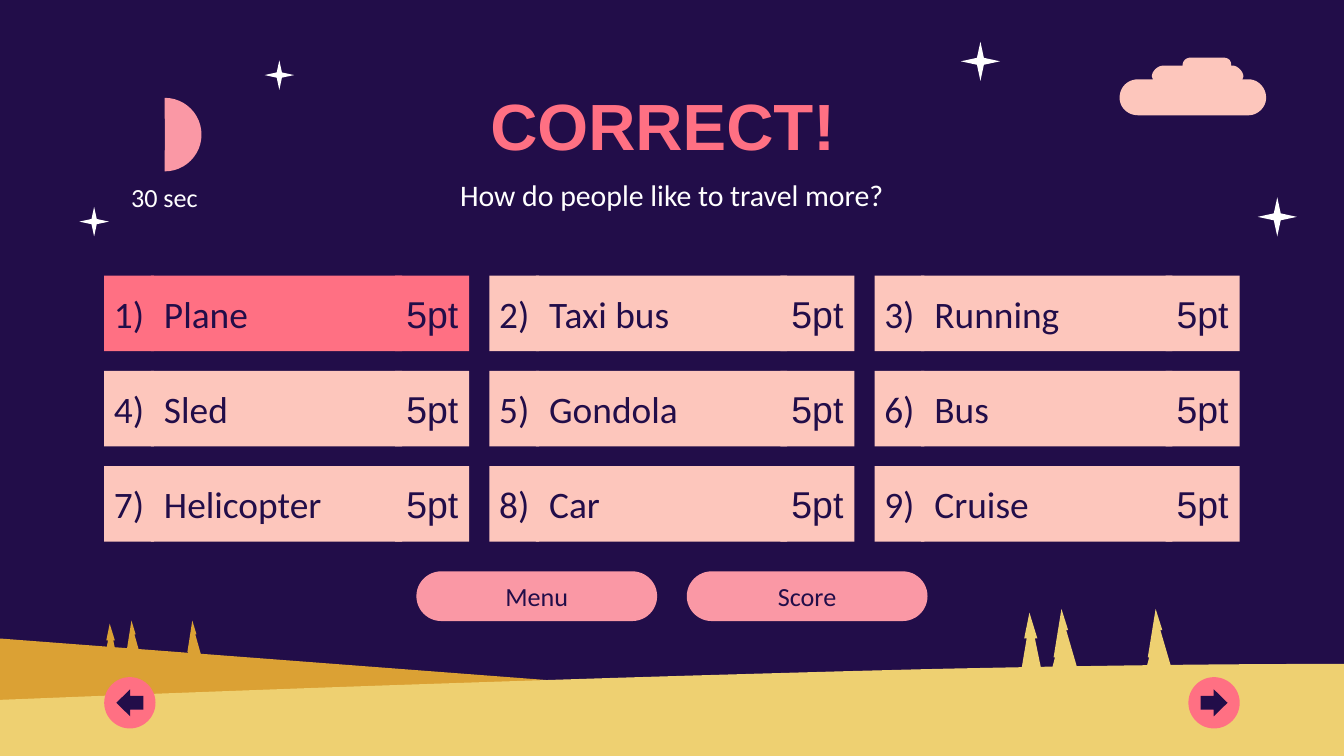
from typing import NamedTuple

from pptx import Presentation, util as u
from pptx.dml import color
from pptx.enum import shapes, text

NIGHT, WHITE = "220D49", "FFFFFF"
CORAL, ROSE, PEACH = "FF7083", "FA98A5", "FDC6BC"
SAND, DARK_SAND = "EED071", "DBA134"
KIND = shapes.MSO_SHAPE
CENTER, LEFT = text.PP_ALIGN.CENTER, text.PP_ALIGN.LEFT

Point = tuple[float, float]


class Box(NamedTuple):
    """Left, top, width and height in centimetres."""
    left: float
    top: float
    width: float
    height: float


class Style(NamedTuple):
    size: float
    font: str = "Calibri"
    color: str = NIGHT
    align: text.PP_ALIGN = CENTER
    side: float = 0.25
    bold: bool = False


class Tree(NamedTuple):
    outline: list[Point]
    box: Box
    color: str


class Curve(NamedTuple):
    """Two control points and the end of a cubic curve."""
    first: Point
    second: Point
    end: Point


def paint(fill, value: str) -> None:
    fill.solid()
    fill.fore_color.rgb = color.RGBColor.from_string(value)


def write(shape, words: str, style: Style) -> None:
    frame = shape.text_frame
    frame.word_wrap = True
    frame.auto_size = text.MSO_AUTO_SIZE.NONE
    frame.vertical_anchor = text.MSO_ANCHOR.MIDDLE
    frame.margin_left = frame.margin_right = u.Cm(style.side)
    frame.margin_top = frame.margin_bottom = u.Cm(0.25)
    frame.text = words
    para = frame.paragraphs[0]
    para.alignment = style.align
    para.line_spacing = 1.0
    for span in para.runs:
        span.font.name, span.font.size = style.font, u.Pt(style.size)
        span.font.bold = style.bold
        span.font.color.rgb = color.RGBColor.from_string(style.color)


def finish(shape, value: str) -> None:
    shape.shadow.inherit = False
    paint(shape.fill, value)
    shape.line.fill.background()


def add_shape(page, kind, box: Box, value: str, adjust: tuple = ()):
    shape = page.shapes.add_shape(kind, *map(u.Cm, box))
    finish(shape, value)
    for index, amount in enumerate(adjust):
        shape.adjustments[index] = amount
    return shape


def add_label(page, words: str, box: Box, style: Style) -> None:
    write(page.shapes.add_textbox(*map(u.Cm, box)), words, style)


def curve_points(start: Point, curve: Curve, steps: int = 12) -> list[Point]:
    corners = (start, *curve)
    points = []
    for step in range(1, steps + 1):
        t = step / steps
        weights = ((1 - t) ** 3, 3 * t * (1 - t) ** 2, 3 * t * t * (1 - t), t ** 3)
        points.append(tuple(sum(w * c[axis] for w, c in zip(weights, corners))
                            for axis in (0, 1)))
    return points


def add_outline(page, parts: list, value: str) -> None:
    points = [parts[0]]
    for part in parts[1:]:
        points += curve_points(points[-1], part) if isinstance(part, Curve) else [part]
    emu = [(u.Cm(x), u.Cm(y)) for x, y in points]
    builder = page.shapes.build_freeform(*emu[0])
    builder.add_line_segments(emu[1:], close=True)
    finish(builder.convert_to_shape(), value)


def add_tree(page, tree: Tree) -> None:
    box = tree.box
    add_outline(page, [(box.left + x * box.width, box.top + y * box.height)
                       for x, y in tree.outline], tree.color)


CLOUD = [
    (23.11, 1.09), Curve((23.22, 1.09), (23.27, 1.14), (23.27, 1.24)),
    (23.29, 1.24), Curve((23.39, 1.24), (23.5, 1.35), (23.5, 1.45)),
    (23.48, 1.5), (23.6, 1.5),
    Curve((23.77, 1.5), (23.93, 1.65), (23.93, 1.85)),
    Curve((23.93, 2.03), (23.77, 2.18), (23.6, 2.18)),
    (21.51, 2.18), Curve((21.31, 2.18), (21.16, 2.03), (21.16, 1.85)),
    Curve((21.16, 1.65), (21.31, 1.5), (21.51, 1.5)),
    (21.79, 1.5), (21.77, 1.45),
    Curve((21.77, 1.35), (21.87, 1.24), (22, 1.24)),
    (22.35, 1.24), Curve((22.35, 1.14), (22.43, 1.09), (22.5, 1.09)),
]
BACK_DUNE = [(0, 12.07), (25.4, 14), (25.4, 14.45), (0, 14.45)]
FRONT_DUNE = [
    (25.4, 12.55), Curve((22.43, 12.55), (19.81, 12.6), (17.45, 12.65)),
    Curve((11.56, 12.8), (5.72, 13), (0, 13.23)), (0, 14.45), (25.4, 14.45),
]
WIDE = [(0.38, 0), (0.1, 0.75), (0.15, 0.75), (0, 1), (1, 1), (0.55, 0.33), (0.62, 0.33)]
SLIM = [(0.41, 0), (0.18, 0.4), (0.29, 0.4), (0, 1), (1, 1), (0.65, 0.4), (0.76, 0.4)]
TREES = [
    Tree(WIDE, Box(19.86, 11.51, 0.53, 1.22), SAND),
    Tree(WIDE, Box(21.64, 11.51, 0.53, 1.22), SAND),
    Tree(SLIM, Box(19.28, 11.58, 0.43, 1.22), SAND),
    Tree(WIDE, Box(2.36, 11.73, 0.33, 0.79), DARK_SAND),
    Tree(WIDE, Box(3.51, 11.73, 0.33, 0.79), DARK_SAND),
    Tree(SLIM, Box(1.96, 11.79, 0.28, 0.79), DARK_SAND),
]
STARS = [Box(23.77, 3.73, 0.74, 0.74), Box(18.16, 0.79, 0.74, 0.74),
         Box(1.5, 3.91, 0.56, 0.56), Box(5, 1.14, 0.56, 0.56)]
ANSWERS = ["Plane", "Taxi bus", "Running", "Sled", "Gondola", "Bus",
           "Helicopter", "Car", "Cruise"]
CORRECT = "Plane"


def add_scenery(page) -> None:
    add_outline(page, CLOUD, PEACH)
    for star in STARS:
        add_shape(page, KIND.STAR_4_POINT, star, WHITE, (0.125,))
    add_outline(page, BACK_DUNE, DARK_SAND)
    add_outline(page, FRONT_DUNE, SAND)
    for tree in TREES:
        add_tree(page, tree)


def add_answer(page, index: int, answer: str) -> None:
    row, column = divmod(index, 3)
    left, top, height = 1.97 + 7.28 * column, 5.21 + 1.8 * row, 1.43
    value = CORAL if answer == CORRECT else PEACH
    cells = [
        (answer, 0.88, 4.75, Style(20, align=LEFT)),
        (f"{index + 1})", 0, 0.94, Style(20, side=0)),
        ("5pt", 5.5, 1.4, Style(20, "Arial", side=0)),
    ]
    for words, offset, width, style in cells:
        cell = add_shape(page, KIND.RECTANGLE, Box(left + offset, top, width, height), value)
        write(cell, words, style)


def add_arrow_button(page, left: float, arrow) -> None:
    add_shape(page, KIND.OVAL, Box(left, 12.8, 0.97, 0.97), CORAL)
    add_shape(page, arrow, Box(left + 0.23, 13.03, 0.51, 0.51), NIGHT, (0.51, 0.51))


def main() -> None:
    deck = Presentation()
    deck.slide_width, deck.slide_height = u.Cm(25.4), u.Cm(14.29)
    page = deck.slides.add_slide(deck.slide_layouts[5])
    paint(page.background.fill, NIGHT)
    add_scenery(page)

    # Title and question
    title = page.shapes.title
    title.left, title.top, title.width, title.height = map(u.Cm, (6.02, 1.5, 13.36, 1.7))
    write(title, "CORRECT! ", Style(35, "Arial", CORAL, bold=True))
    add_label(page, "How do people like to travel more?",
              Box(6.02, 3.2, 13.36, 0.94), Style(16, color=WHITE))

    # Answer grid
    for index, answer in enumerate(ANSWERS):
        add_answer(page, index, answer)

    # Menu buttons
    for words, left in (("Menu", 7.87), ("Score", 12.98)):
        button = add_shape(page, KIND.ROUNDED_RECTANGLE,
                           Box(left, 10.8, 4.55, 0.94), ROSE, (0.5,))
        write(button, words, Style(14))

    # Timer: right half of a disc, angles in units of 5/3 degrees
    add_shape(page, KIND.PIE, Box(2.42, 1.85, 1.39, 1.39), ROSE, (162, 54))
    add_label(page, "30 sec", Box(1.88, 3.25, 2.46, 0.94), Style(14, color=WHITE))

    # Navigation
    add_arrow_button(page, 22.46, KIND.RIGHT_ARROW)
    add_arrow_button(page, 1.97, KIND.LEFT_ARROW)

    deck.save("out.pptx")


if __name__ == "__main__":
    main()
